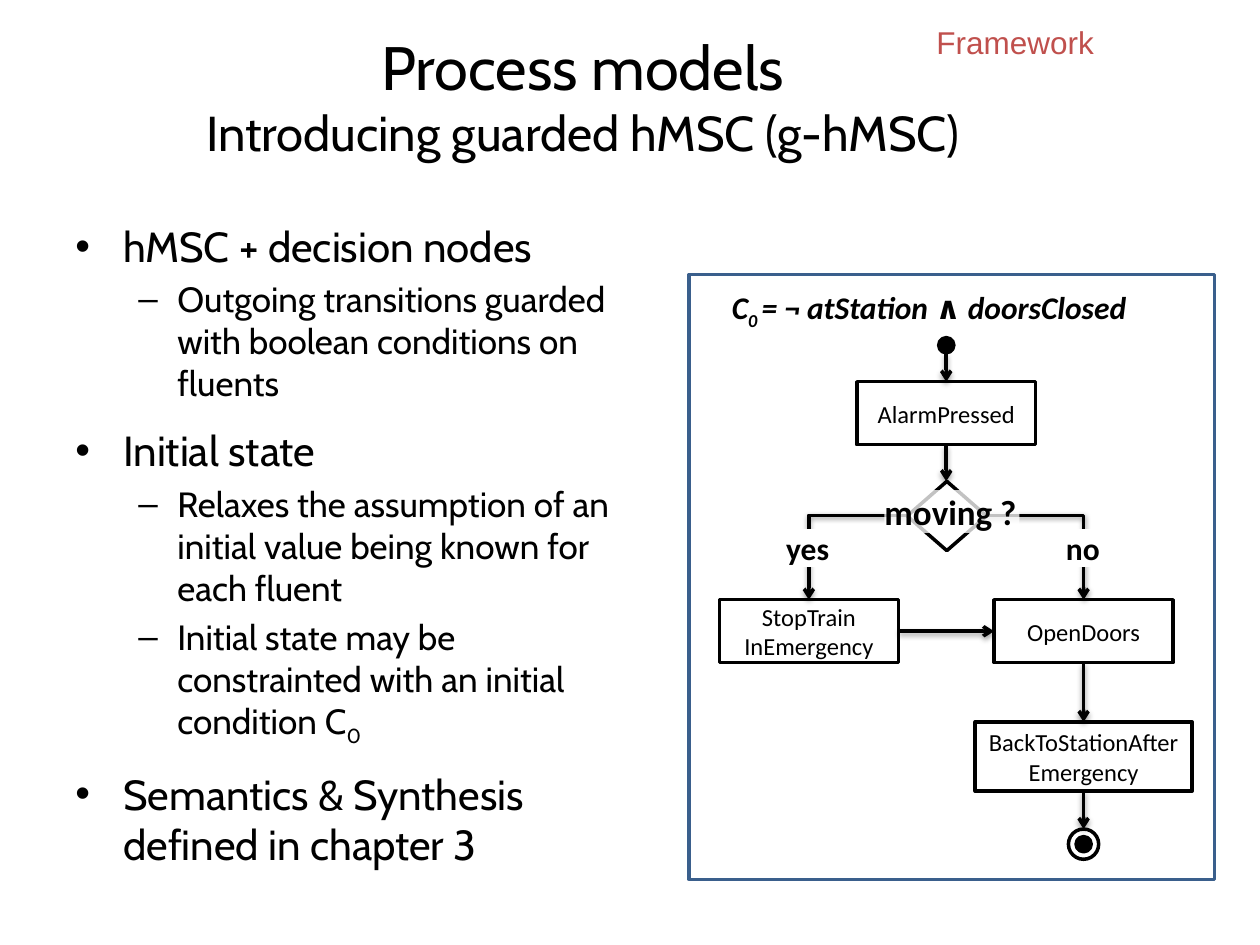
"""Build the slide that introduces guarded hMSC process models."""
from lxml import etree
from pptx import Presentation
from pptx import util as u
from pptx.dml.color import RGBColor
from pptx.enum import shapes, text
from pptx.oxml.ns import qn

BLACK = RGBColor(0, 0, 0)
WHITE = RGBColor(255, 255, 255)
BLUE = RGBColor(0x3A, 0x5F, 0x8C)
RED = RGBColor(0xC0, 0x50, 0x4D)
KIND = shapes.MSO_SHAPE
LEFT, CENTER, RIGHT = text.PP_ALIGN.LEFT, text.PP_ALIGN.CENTER, text.PP_ALIGN.RIGHT
TOP, MIDDLE = text.MSO_ANCHOR.TOP, text.MSO_ANCHOR.MIDDLE

TITLE = [("Process models\v", {"size": 35}),
         ("Introducing guarded hMSC (g-hMSC)", {"size": 28})]
POINTS = [
    (0, 0, [("hMSC + decision nodes", {})]),
    (1, 4, [("Outgoing transitions guarded with boolean conditions on fluents", {})]),
    (0, 12, [("Initial state", {})]),
    (1, 4, [("Relaxes the assumption of an initial value being known for each fluent", {})]),
    (1, 4, [("Initial state may be constrainted with an initial condition C", {}),
            ("0", {"sub": True})]),
    (0, 12, [("Semantics & Synthesis defined in chapter 3", {})]),
]
LEVELS = [("•", 0.38, -0.38, 24), ("–", 0.81, -0.31, 20)]
INIT = [("C", {}), ("0 ", {"sub": True}), ("= ¬ atStation ∧ doorsClosed", {})]

MID, WEST, EAST = 7.51, 6.42, 8.6
BOXES = [
    (MID, 3.03, 1.42, 0.5, "AlarmPressed"),
    (WEST, 4.76, 1.42, 0.5, "StopTrain\vInEmergency"),
    (EAST, 4.76, 1.42, 0.5, "OpenDoors"),
    (EAST, 5.73, 1.72, 0.55, "BackToStationAfter\vEmergency"),
]
DOTS = [(MID, 2.74, 0.12, BLACK), (EAST, 6.7, 0.24, WHITE), (EAST, 6.7, 0.12, BLACK)]
ARROWS = [
    (MID, 2.8, MID, 3.03),
    (MID, 3.53, MID, 3.82),
    (7.2, 4.09, WEST, 4.76),
    (7.82, 4.09, EAST, 4.76),
    (7.13, 5.01, 7.89, 5.01),
    (EAST, 5.26, EAST, 5.73),
    (EAST, 6.28, EAST, 6.58),
]
LABELS = [(8.46, 4.2, 0.28, 0.3, "no", 18, 100),
          (6.24, 4.2, 0.37, 0.3, "yes", 18, 100),
          (7.02, 3.89, 1.07, 0.34, "moving ?", 20, 76)]


def write(para, runs, **base):
    for words, extra in runs:
        look = {"name": "Calibri", "size": 14, "color": BLACK, **base, **extra}
        run = para.add_run()
        first, *rest = words.split("\v")
        run.text = first
        group = [run]
        for part in rest:
            para.add_line_break()
            if part:
                group.append(para.add_run())
                group[-1].text = part
        for run in group:
            run.font.color.rgb = look["color"]
            run.font.size = u.Pt(look["size"])
            for key in ("name", "bold", "italic"):
                if key in look:
                    setattr(run.font, key, look[key])
            if look.get("sub"):
                run._r.get_or_add_rPr().set("baseline", "-25000")


def setup(shape, align=LEFT, anchor=TOP, wrap=True, grow=False, inset=None):
    frame = shape.text_frame
    form = {"word_wrap": wrap, "vertical_anchor": anchor}
    if grow:
        form["auto_size"] = text.MSO_AUTO_SIZE.SHAPE_TO_FIT_TEXT
    if inset is not None:
        for side in ("left", "right", "top", "bottom"):
            form["margin_" + side] = u.Inches(inset)
    for key, value in form.items():
        setattr(frame, key, value)
    frame.paragraphs[0].alignment = align
    return frame.paragraphs[0]


def place(slide, kind, spot, fill=None, line=BLACK):
    shape = slide.shapes.add_shape(kind, *map(u.Inches, spot))
    shape.shadow.inherit = False
    if fill is None:
        shape.fill.background()
    else:
        shape.fill.solid()
        shape.fill.fore_color.rgb = fill
    if line is None:
        shape.line.fill.background()
    else:
        shape.line.color.rgb = line
        shape.line.width = u.Pt(2)
    return shape


def note(slide, spot, **form):
    return setup(slide.shapes.add_textbox(*map(u.Inches, spot)), **form)


def arrow(slide, x1, y1, x2, y2):
    bent = x1 != x2 and y1 != y2
    kind = shapes.MSO_CONNECTOR.ELBOW if bent else shapes.MSO_CONNECTOR.STRAIGHT
    link = slide.shapes.add_connector(kind, *map(u.Inches, (x1, y1, x2, y2)))
    link.line.color.rgb = BLACK
    link.line.width = u.Pt(2)
    props = link._element.spPr
    if bent:
        props.find(qn("a:prstGeom")).set("prst", "bentConnector2")
    etree.SubElement(props.find(qn("a:ln")), qn("a:tailEnd"), type="arrow")
    glow = etree.SubElement(props, qn("a:effectLst"))
    shade = etree.SubElement(glow, qn("a:outerShdw"), blurRad="40000", dist="20000",
                             dir="5400000", rotWithShape="0")
    tint = etree.SubElement(shade, qn("a:srgbClr"), val="000000")
    etree.SubElement(tint, qn("a:alpha"), val="38000")


def outline(slide):
    para = note(slide, (0.5, 1.7, 4.74, 5))
    frame = para._parent
    for index, (level, gap, runs) in enumerate(POINTS):
        mark, left, hang, size = LEVELS[level]
        if index:
            para = frame.add_paragraph()
        para.level = level
        if gap:
            para.space_before = u.Pt(gap)
        props = para._p.get_or_add_pPr()
        props.set("marL", str(u.Inches(left)))
        props.set("indent", str(u.Inches(hang)))
        etree.SubElement(props, qn("a:buFont"), typeface="Arial")
        etree.SubElement(props, qn("a:buChar"), char=mark)
        write(para, runs, name="Cabin", size=size)


def chart(slide):
    place(slide, KIND.RECTANGLE, (5.47, 2.18, 4.17, 4.8), line=BLUE)
    for x, y, wide, high, words in BOXES:
        box = place(slide, KIND.RECTANGLE, (x - wide / 2, y, wide, high), WHITE)
        write(setup(box, CENTER, MIDDLE), [(words, {})])
    for x, y, size, fill in DOTS:
        place(slide, KIND.OVAL, (x - size / 2, y - size / 2, size, size), fill)
    place(slide, KIND.DIAMOND, (7.2, 3.82, 0.63, 0.55), WHITE)
    for ends in ARROWS:
        arrow(slide, *ends)
    for *spot, words, size, solid in LABELS:
        label = place(slide, KIND.RECTANGLE, spot, WHITE, None)
        if solid < 100:
            tint = label._element.spPr.find(qn("a:solidFill"))[0]
            etree.SubElement(tint, qn("a:alpha"), val=str(solid * 1000))
        para = setup(label, wrap=False, grow=True, inset=0)
        write(para, [(words, {})], size=size, bold=True)
    para = note(slide, (5.71, 2.24, 3.91, 0.4), wrap=False, grow=True)
    write(para, INIT, size=18, bold=True, italic=True)


def main():
    deck = Presentation()
    deck.slide_width, deck.slide_height = u.Inches(10), u.Inches(7.5)
    slide = deck.slides.add_slide(deck.slide_layouts[6])
    write(note(slide, (0.5, 0.13, 8.25, 1.25), align=CENTER, anchor=MIDDLE),
          TITLE, name="Cabin")
    outline(slide)
    chart(slide)
    write(note(slide, (4.69, 0.13, 4.09, 0.4), align=RIGHT, grow=True),
          [("Framework", {})], name="Arial", size=18, color=RED)
    deck.save("out.pptx")


if __name__ == "__main__":
    main()
